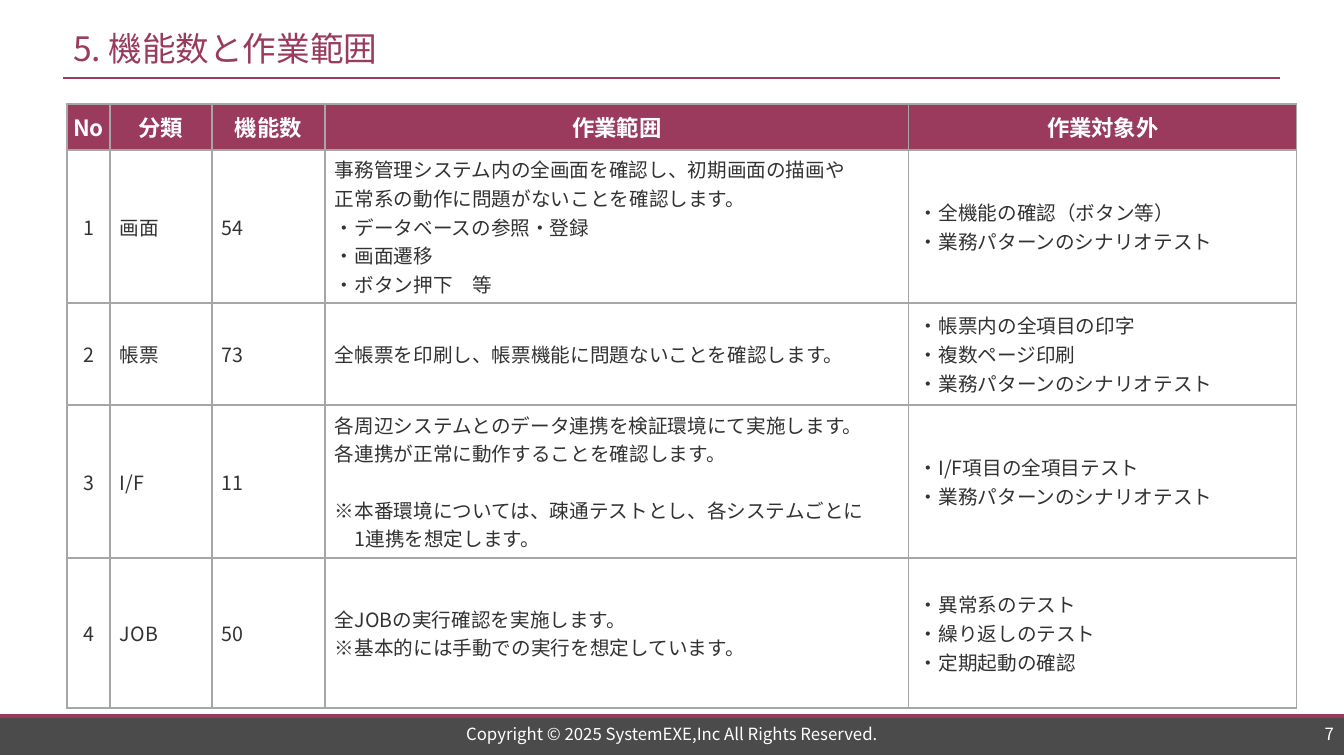
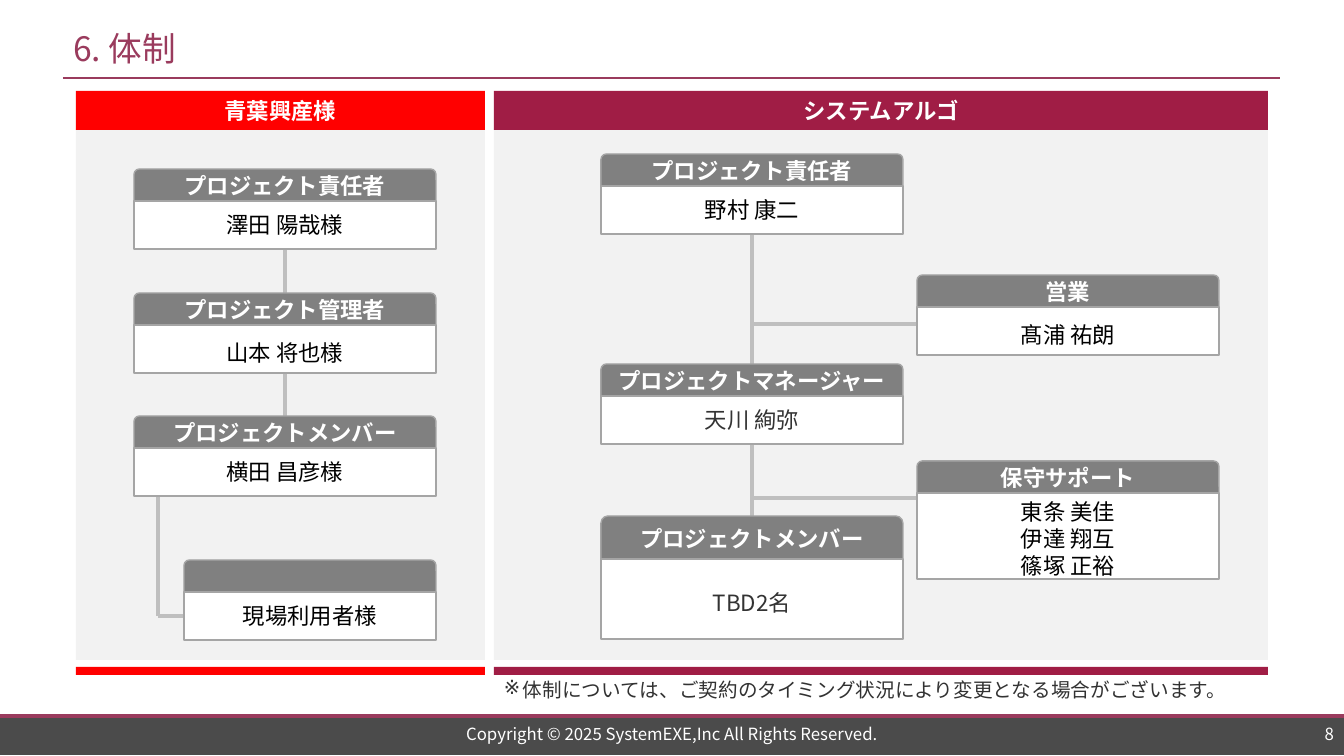
from lxml.etree import SubElement
from pptx import Presentation
from pptx.dml.color import RGBColor
from pptx.enum.shapes import MSO_CONNECTOR, MSO_SHAPE
from pptx.enum.text import MSO_ANCHOR, MSO_AUTO_SIZE, PP_ALIGN
from pptx.oxml.ns import qn
from pptx.util import Emu, Pt

# Shared scale, colours and fonts
PX = 914400 / 100.8
WIDTH, HEIGHT = 1344, 756
BRAND, INK, WHITE, BLACK = "9A3B5D", "323232", "FFFFFF", "000000"
FOOTER, GRID, PANEL = "4B4B4B", "A6A6A6", "F2F2F2"
CARD_HEAD, CARD_LINE, LINK = "808080", "A5A5A5", "BFBFBF"
CLIENT, VENDOR, NAME = "FF0000", "A01D45", "333333"
NOTO, ARIAL = "Noto Sans CJK JP", "Arial"
LEFT, CENTER, RIGHT = PP_ALIGN.LEFT, PP_ALIGN.CENTER, PP_ALIGN.RIGHT

HEADERS = ["No", "分類", "機能数", "作業範囲", "作業対象外"]
COLUMNS = [43, 102, 113, 584, 388]
ROWS = [46, 153, 102, 153, 150]
# An empty line in a cell becomes space before the next paragraph
FUNCTIONS = [
    ["1", "画面", "54",
     "事務管理システム内の全画面を確認し、初期画面の描画や\n"
     "正常系の動作に問題がないことを確認します。\n"
     "・データベースの参照・登録\n・画面遷移\n・ボタン押下　等",
     "・全機能の確認（ボタン等）\n・業務パターンのシナリオテスト"],
    ["2", "帳票", "73",
     "全帳票を印刷し、帳票機能に問題ないことを確認します。",
     "・帳票内の全項目の印字\n・複数ページ印刷\n・業務パターンのシナリオテスト"],
    ["3", "I/F", "11",
     "各周辺システムとのデータ連携を検証環境にて実施します。\n"
     "各連携が正常に動作することを確認します。\n\n"
     "※本番環境については、疎通テストとし、各システムごとに\n"
     "　1連携を想定します。",
     "・I/F項目の全項目テスト\n・業務パターンのシナリオテスト"],
    ["4", "JOB", "50",
     "全JOBの実行確認を実施します。\n※基本的には手動での実行を想定しています。",
     "・異常系のテスト\n・繰り返しのテスト\n・定期起動の確認"],
]


def px(value):
    return Emu(round(value * PX))


def color(value):
    return RGBColor.from_string(value)


def write(frame, text, size=14, ink=INK, bold=False, font=NOTO, align=LEFT,
          spacing=None):
    """Fill a text frame, one paragraph for each line."""
    para, gap = None, False
    for line in text.split("\n"):
        if not line:
            gap = True
            continue
        para = frame.paragraphs[0] if para is None else frame.add_paragraph()
        para.alignment = align
        if spacing:
            para.line_spacing = Emu(px(spacing))
        if gap:
            para.space_before = Pt(20)
            gap = False
        span = para.add_run()
        span.text = line
        span.font.size = Pt(size)
        span.font.bold = bold
        span.font.name = font
        span.font.color.rgb = color(ink)
        SubElement(span.font._element, qn("a:ea"), typeface=NOTO)


def set_frame(frame, pad=(10, 5, 10, 5), anchor=MSO_ANCHOR.MIDDLE, wrap=True):
    frame.auto_size = MSO_AUTO_SIZE.NONE
    frame.word_wrap = wrap
    frame.vertical_anchor = anchor
    (frame.margin_left, frame.margin_top,
     frame.margin_right, frame.margin_bottom) = map(px, pad)


def add_block(page, box, fill, outline=None, kind=MSO_SHAPE.RECTANGLE,
              text="", pad=(4, 0, 4, 0), **style):
    block = page.shapes.add_shape(kind, *map(px, box))
    block.shadow.inherit = False
    block.fill.solid()
    block.fill.fore_color.rgb = color(fill)
    if outline:
        block.line.color.rgb = color(outline)
        block.line.width = Pt(1)
    else:
        block.line.fill.background()
    if text:
        set_frame(block.text_frame, pad)
        write(block.text_frame, text, align=CENTER, **style)


def add_label(page, box, text, pad=(10, 0, 10, 0), anchor=MSO_ANCHOR.MIDDLE,
              **style):
    label = page.shapes.add_textbox(*map(px, box))
    set_frame(label.text_frame, pad, anchor)
    write(label.text_frame, text, **style)
    return label


def add_link(page, *points, ink=LINK, weight=2.25):
    """Join the points in order with straight connectors."""
    for start, end in zip(points, points[1:]):
        line = page.shapes.add_connector(
            MSO_CONNECTOR.STRAIGHT, *map(px, start + end))
        line.line.color.rgb = color(ink)
        line.line.width = Pt(weight)
        SubElement(line._element.spPr, qn("a:effectLst"))


def add_page(deck, title, number):
    """Start a slide with the shared title, rule and footer."""
    page = deck.slides.add_slide(deck.slide_layouts[5])
    # Title and rule
    heading = page.shapes.title
    heading.left, heading.top, heading.width, heading.height = map(
        px, (63, 20, 1217, 56))
    set_frame(heading.text_frame, wrap=False)
    write(heading.text_frame, title, size=24, ink=BRAND)
    add_link(page, (63, 78), (1280, 78), ink=BRAND, weight=1.5)
    # Footer band
    add_block(page, (0, 716, WIDTH, 39), FOOTER)
    add_link(page, (0, 716), (WIDTH, 716), ink=BRAND, weight=2.75)
    add_label(page, (335, 722, 674, 24),
              "Copyright © 2025 SystemEXE,Inc All Rights Reserved.",
              size=12, ink=WHITE, align=CENTER)
    add_label(page, (1186, 722, 158, 24), str(number),
              size=12, ink=WHITE, align=RIGHT)
    return page


def add_borders(cell):
    props = cell._tc.get_or_add_tcPr()
    for side in ("lnL", "lnR", "lnT", "lnB"):
        edge = SubElement(props, qn("a:" + side), w=str(Pt(1)))
        fill = SubElement(edge, qn("a:solidFill"))
        SubElement(fill, qn("a:srgbClr"), val=GRID)


def add_function_table(page, left, top):
    box = (left, top, sum(COLUMNS), sum(ROWS))
    table = page.shapes.add_table(
        len(ROWS), len(COLUMNS), *map(px, box)).table
    table.first_row = table.horz_banding = False
    for column, width in zip(table.columns, COLUMNS):
        column.width = px(width)
    for row, height in zip(table.rows, ROWS):
        row.height = px(height)
    for r, values in enumerate([HEADERS] + FUNCTIONS):
        for c, value in enumerate(values):
            cell = table.cell(r, c)
            add_borders(cell)
            cell.vertical_anchor = MSO_ANCHOR.MIDDLE
            tight = r == 0 or c == 0
            cell.margin_left = cell.margin_right = px(4 if tight else 10)
            cell.margin_top = cell.margin_bottom = px(4 if tight else 5)
            if r == 0:
                cell.fill.solid()
                cell.fill.fore_color.rgb = color(BRAND)
                write(cell.text_frame, value, size=16, ink=WHITE, bold=True,
                      align=CENTER)
            else:
                cell.fill.background()
                write(cell.text_frame, value, align=CENTER if tight else LEFT)


def add_panel(page, left, width, title, fill):
    """Draw a company's area: header, grey body and closing strip."""
    add_block(page, (left, 129, width, 531), PANEL)
    add_block(page, (left, 91, width, 39), fill, text=title,
              size=16, ink=WHITE, bold=True, font=ARIAL)
    add_block(page, (left, 667, width, 8), fill)


def add_card(page, left, top, role, names, width=302, head=32, body=48,
             pad_top=5, pad_bottom=5, ink=BLACK, font=ARIAL, spacing=None):
    """Draw a role header with the people below it."""
    add_block(page, (left, top, width, head), CARD_HEAD, CARD_LINE,
              MSO_SHAPE.ROUND_2_SAME_RECTANGLE, role,
              size=16, ink=WHITE, bold=True, font=ARIAL)
    add_block(page, (left, top + head, width, body), WHITE, CARD_LINE,
              text=names, pad=(8, pad_top, 8, pad_bottom),
              size=16, ink=ink, font=font, spacing=spacing)


def add_client_team(page, left):
    add_panel(page, left, 409, "青葉興産様", CLIENT)
    card_left = left + 58
    middle = card_left + 151
    add_link(page, (middle, 249), (middle, 416))
    add_link(page, (left + 82, 496), (left + 82, 616), (left + 108, 616))
    add_card(page, card_left, 169, "プロジェクト責任者", "澤田 陽哉様", font=NOTO)
    add_card(page, card_left, 293, "プロジェクト管理者", "山本 将也様", pad_top=12)
    add_card(page, card_left, 416, "プロジェクトメンバー", "横田 昌彦様")
    add_card(page, left + 108, 560, "", "現場利用者様", width=252)


def add_vendor_team(page, left):
    add_panel(page, left, 774, "システムアルゴ", VENDOR)
    card_left, side_left = left + 107, left + 423
    middle = card_left + 151
    add_link(page, (middle, 234), (middle, 516))
    for branch in (324, 498):
        add_link(page, (middle, branch), (side_left, branch))
    # Main line of responsibility
    add_card(page, card_left, 154, "プロジェクト責任者", "野村 康二")
    add_card(page, card_left, 364, "プロジェクトマネージャー", "天川 絢弥",
             ink=NAME, font=NOTO)
    add_card(page, card_left, 516, "プロジェクトメンバー", "TBD2名", head=43,
             body=80, pad_top=12, ink=NAME, font=NOTO)
    # Supporting roles
    add_card(page, side_left, 275, "営業", "髙浦 祐朗", pad_top=12)
    add_card(page, side_left, 461, "保守サポート",
             "東条 美佳\n伊達 翔互\n篠塚 正裕", body=86, pad_bottom=0, spacing=27)


def add_note(page, box, text):
    note = add_label(page, box, text, pad=(10, 5, 10, 5),
                     anchor=MSO_ANCHOR.TOP)
    props = note.text_frame.paragraphs[0]._p.get_or_add_pPr()
    props.set("marL", str(px(19)))
    props.set("indent", str(-px(19)))
    SubElement(props, qn("a:buChar"), char="※")


def main():
    deck = Presentation()
    deck.slide_width, deck.slide_height = px(WIDTH), px(HEIGHT)

    page = add_page(deck, "5. 機能数と作業範囲", 7)
    add_function_table(page, 67, 104)

    page = add_page(deck, "6. 体制", 8)
    add_client_team(page, 76)
    add_vendor_team(page, 494)
    add_note(page, (494, 673, 786, 40),
             "体制については、ご契約のタイミング状況により変更となる場合がございます。")

    deck.save("out.pptx")


if __name__ == "__main__":
    main()
